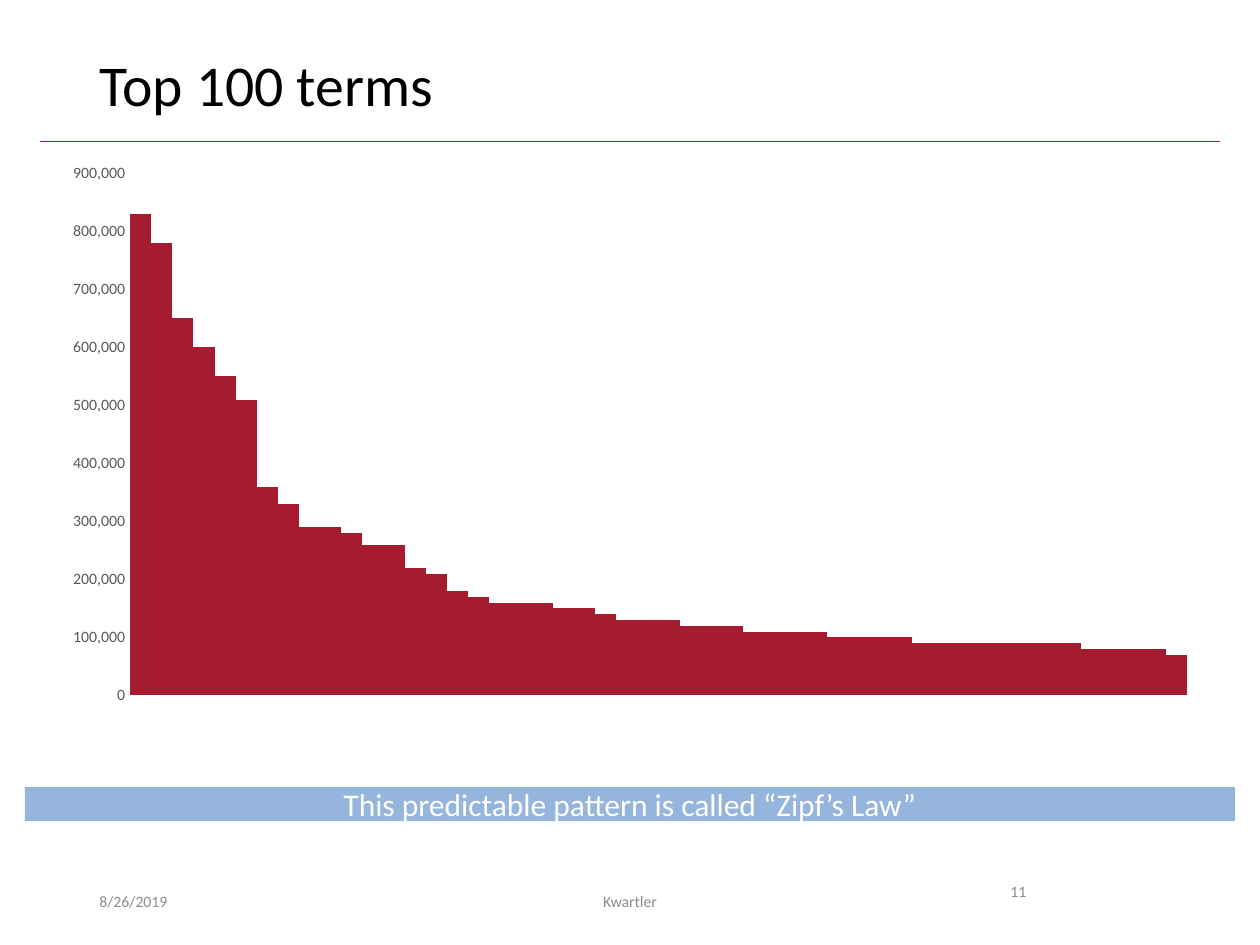
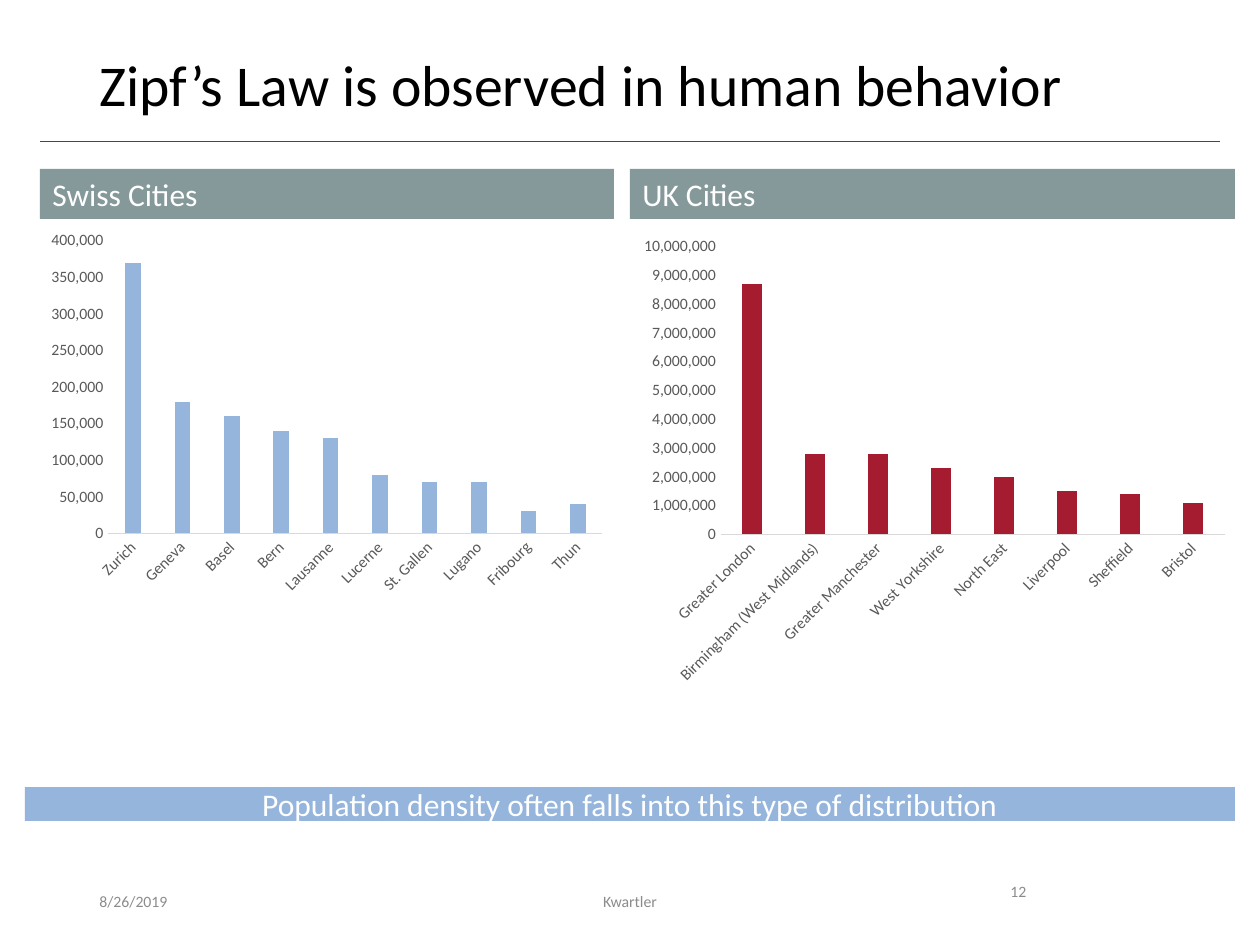
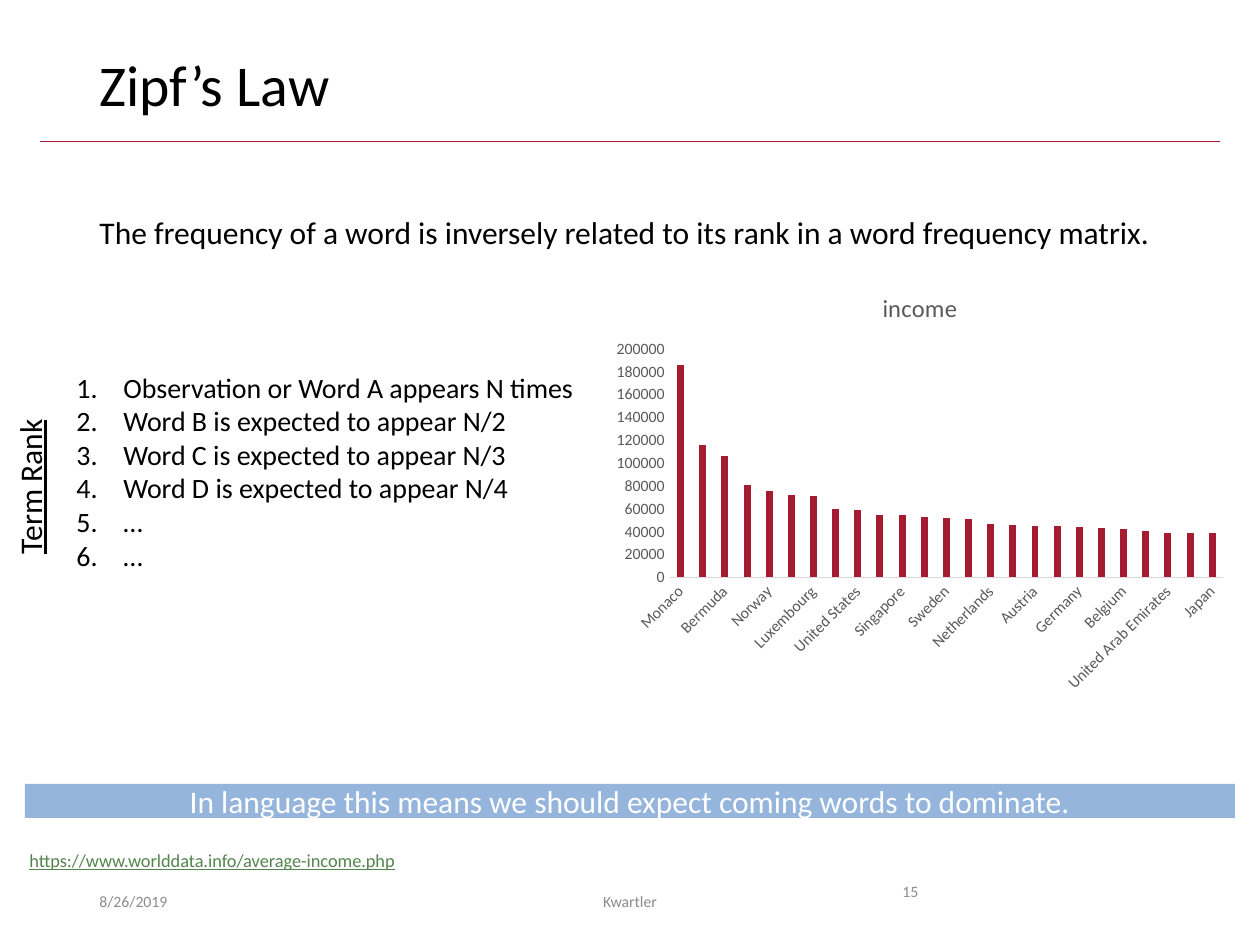
from lxml import etree
from pptx import Presentation
from pptx.chart.data import CategoryChartData
from pptx.dml.color import RGBColor
from pptx.enum.chart import XL_CHART_TYPE, XL_TICK_MARK
from pptx.enum.shapes import MSO_CONNECTOR, MSO_SHAPE
from pptx.enum.text import MSO_ANCHOR, PP_ALIGN
from pptx.oxml.ns import qn
from pptx.util import Emu, Pt

COLUMNS = XL_CHART_TYPE.COLUMN_CLUSTERED
NO_TICK = XL_TICK_MARK.NONE
STRAIGHT = MSO_CONNECTOR.STRAIGHT
RECTANGLE = MSO_SHAPE.RECTANGLE
TOP, MIDDLE = MSO_ANCHOR.TOP, MSO_ANCHOR.MIDDLE
LEFT, CENTER = PP_ALIGN.LEFT, PP_ALIGN.CENTER

EMU_PER_PX = 914400 / 126
AUTOMATIC_ROTATION = "-60000000"
FONT = "Calibri"
COLORS = {
    "white": "FFFFFF", "black": "000000", "crimson": "A51C30",
    "blue": "95B5DC", "slate": "85999B", "footer": "8C8C8C",
    "axis_text": "595959", "axis_line": "D9D9D9", "link": "52854C",
}
DATE, AUTHOR = "8/26/2019", "Kwartler"

TERM_COUNTS = [
    830, 780, 650, 600, 550, 510, 360, 330, 290, 290,
    280, 260, 260, 220, 210, 180, 170, 160, 160, 160,
    150, 150, 140, 130, 130, 130, 120, 120, 120, 110,
    110, 110, 110, 100, 100, 100, 100, 90, 90, 90,
    90, 90, 90, 90, 90, 80, 80, 80, 80, 70,
]
TERMS = [(str(rank), count) for rank, count in enumerate(TERM_COUNTS, 1)]
SWISS_CITIES = [
    ("Zurich", 370), ("Geneva", 180), ("Basel", 160), ("Bern", 140),
    ("Lausanne", 130), ("Lucerne", 80), ("St. Gallen", 70),
    ("Lugano", 70), ("Fribourg", 30), ("Thun", 40),
]
UK_CITIES = [
    ("Greater London", 8700), ("Birmingham (West Midlands)", 2800),
    ("Greater Manchester", 2800), ("West Yorkshire", 2300),
    ("North East", 2000), ("Liverpool", 1500), ("Sheffield", 1400),
    ("Bristol", 1100),
]
INCOMES = [
    ("Monaco", 186), ("Liechtenstein", 116), ("Bermuda", 106),
    ("Switzerland", 81), ("Norway", 76), ("Macao", 72),
    ("Luxembourg", 71), ("Iceland", 60), ("United States", 59),
    ("Denmark", 55), ("Singapore", 55), ("Ireland", 53), ("Sweden", 52),
    ("Australia", 51), ("Netherlands", 47), ("Hong Kong", 46),
    ("Austria", 45), ("Finland", 45), ("Germany", 44), ("Canada", 43),
    ("Belgium", 42), ("United Kingdom", 41),
    ("United Arab Emirates", 39), ("New Zealand", 39), ("Japan", 39),
]
RANKED_TERMS = [
    "Observation or Word A appears N times",
    "Word B is expected to appear N/2",
    "Word C is expected to appear N/3",
    "Word D is expected to appear N/4",
    "…",
    "…",
]

SLIDES = [
    {
        "title": "Top 100 terms", "number": "11", "number_left": 998,
        "takeaway": "This predictable pattern is called “Zipf’s Law”",
        "takeaway_top": 787,
        "charts": [
            {"box": (50, 153, 1160, 563), "rows": TERMS, "color": "crimson",
             "step": 100, "top_value": 900, "gap": 0, "labels": False},
        ],
    },
    {
        "title": "Zipf’s Law is observed in human behavior",
        "number": "12", "number_left": 998,
        "takeaway": "Population density often falls into this type of distribution",
        "takeaway_top": 787,
        "headings": [("Swiss Cities", 40, 574), ("UK Cities", 630, 605)],
        "charts": [
            {"box": (40, 224, 574, 378), "rows": SWISS_CITIES, "color": "blue",
             "step": 50, "top_value": 400},
            {"box": (632, 228, 605, 466), "rows": UK_CITIES, "color": "crimson",
             "step": 1000, "top_value": 10000},
        ],
    },
    {
        "title": "Zipf’s Law", "number": "15", "number_left": 890,
        "takeaway": "In language this means we should expect coming words to dominate.",
        "takeaway_top": 784,
        "texts": [
            {"lines": ["The frequency of a word is inversely related to its rank "
                       "in a word frequency matrix."],
             "box": (87, 207, 1080, 50), "size": 18, "wrap": False},
            {"lines": RANKED_TERMS, "box": (64, 364, 550, 217), "size": 16,
             "numbered": True},
            {"lines": ["Term Rank"], "box": (-51, 461, 161, 50), "size": 18,
             "wrap": False, "underline": True, "rotation": 270},
            {"lines": ["https://www.worlddata.info/average-income.php"],
             "box": (17, 843, 401, 35), "size": 10.5, "wrap": False,
             "underline": True, "color": "link"},
        ],
        "charts": [
            {"box": (604, 271, 632, 430), "rows": INCOMES, "color": "crimson",
             "step": 20, "top_value": 200, "title": "income", "format": "General"},
        ],
    },
]


def px(length):
    return Emu(round(length * EMU_PER_PX))


def place(box):
    return [px(length) for length in box]


def rgb(name):
    return RGBColor.from_string(COLORS[name])


def style_font(font, size, color, underline=None):
    font.name = FONT
    font.size = Pt(size)
    font.color.rgb = rgb(color)
    font.bold = False
    if underline:
        font.underline = True


def number_paragraph(paragraph):
    properties = paragraph._p.get_or_add_pPr()
    properties.set("marL", str(px(47)))
    properties.set("indent", str(-px(47)))
    etree.SubElement(properties, qn("a:buFont"), typeface="+mj-lt")
    etree.SubElement(properties, qn("a:buAutoNum"), type="arabicPeriod")


def write(shape, lines, size, color="black", anchor=TOP, align=LEFT, wrap=True,
          spacing=None, numbered=False, underline=False):
    frame = shape.text_frame
    frame.text = "\n".join(lines)
    frame.word_wrap = wrap
    frame.vertical_anchor = anchor
    for paragraph in frame.paragraphs:
        paragraph.alignment = align
        if spacing:
            paragraph.line_spacing = spacing
        if numbered:
            number_paragraph(paragraph)
        for run in paragraph.runs:
            style_font(run.font, size, color, underline)


def add_text(slide, lines, box, size, rotation=0, **style):
    shape = slide.shapes.add_textbox(*place(box))
    shape.rotation = rotation
    write(shape, lines, size, **style)


def add_band(slide, text, box, fill, **style):
    band = slide.shapes.add_shape(RECTANGLE, *place(box))
    band.shadow.inherit = False
    band.fill.solid()
    band.fill.fore_color.rgb = rgb(fill)
    band.line.fill.background()
    write(band, [text], 18, "white", **style)


def add_title_rule(slide):
    rule = slide.shapes.add_connector(STRAIGHT, *place((40, 141, 1220, 141)))
    rule.line.color.rgb = rgb("crimson")
    rule.line.width = Pt(0.5)
    etree.SubElement(rule._element.spPr, qn("a:effectLst"))


def style_axes(chart, step, top_value, number_format, labels):
    values, categories = chart.value_axis, chart.category_axis
    for axis in (values, categories):
        axis.has_major_gridlines = False
        axis.major_tick_mark = axis.minor_tick_mark = NO_TICK
        style_font(axis.tick_labels.font, 9, "axis_text")
        label_body = axis._element.find(qn("c:txPr")).find(qn("a:bodyPr"))
        label_body.set("rot", AUTOMATIC_ROTATION)
        label_body.set("vert", "horz")
    values.minimum_scale = 0
    values.maximum_scale = top_value * 1000
    values.major_unit = step * 1000
    values.tick_labels.number_format = number_format
    values.tick_labels.number_format_is_linked = False
    values.format.line.fill.background()
    categories.visible = labels
    categories.format.line.color.rgb = rgb("axis_line")
    categories.format.line.width = Pt(0.75)


def add_column_chart(slide, box, rows, color, step, top_value, gap=219,
                     labels=True, title=None, format="#,##0"):
    data = CategoryChartData()
    data.categories = [name for name, _ in rows]
    data.add_series(title or "Series 1", [thousands * 1000 for _, thousands in rows])
    chart = slide.shapes.add_chart(COLUMNS, *place(box), data).chart
    style_font(chart.font, 10, "black")
    chart.has_legend = False
    chart.has_title = title is not None
    if title:
        chart.chart_title.text_frame.text = title
        chart.chart_title.include_in_layout = False
        style_font(chart.chart_title.text_frame.paragraphs[0].runs[0].font,
                   14, "axis_text")
    plot = chart.plots[0]
    plot.vary_by_categories = False
    plot.gap_width = gap
    plot.overlap = -27
    fill = plot.series[0].format.fill
    fill.solid()
    fill.fore_color.rgb = rgb(color)
    style_axes(chart, step, top_value, format, labels)


def add_frame(slide, content):
    add_title_rule(slide)
    add_text(slide, [content["title"]], (87, 50, 1086, 82), 33, spacing=0.9)
    add_text(slide, [DATE], (87, 876, 284, 50), 9, color="footer", anchor=MIDDLE)
    add_text(slide, [AUTHOR], (417, 876, 426, 50), 9, color="footer",
             anchor=MIDDLE, align=CENTER)
    add_text(slide, [content["number"]], (content["number_left"], 876, 118, 50), 9,
             color="footer")
    add_band(slide, content["takeaway"], (25, content["takeaway_top"], 1210, 34),
             "blue", anchor=MIDDLE, align=CENTER)


def main():
    presentation = Presentation()
    presentation.slide_width, presentation.slide_height = px(1260), px(945)
    for content in SLIDES:
        slide = presentation.slides.add_slide(presentation.slide_layouts[6])
        add_frame(slide, content)
        for text, left, width in content.get("headings", []):
            add_band(slide, text, (left, 169, width, 50), "slate")
        for text in content.get("texts", []):
            add_text(slide, **text)
        for chart in content["charts"]:
            add_column_chart(slide, **chart)
    presentation.save("out.pptx")


if __name__ == "__main__":
    main()
